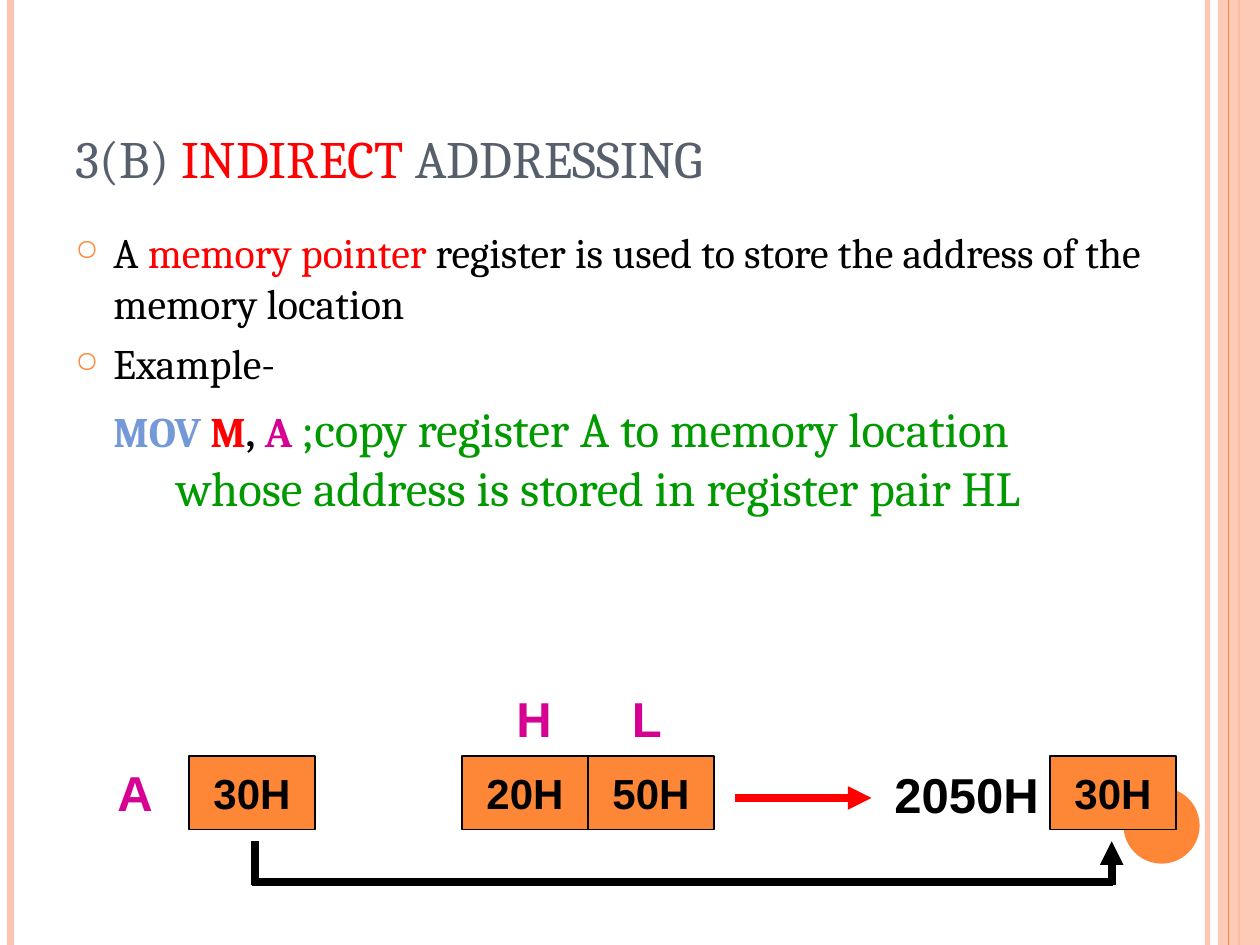
from lxml.etree import SubElement
from pptx import Presentation
from pptx.dml.color import RGBColor
from pptx.enum.shapes import MSO_CONNECTOR, MSO_SHAPE
from pptx.enum.text import MSO_ANCHOR, PP_ALIGN
from pptx.oxml.ns import qn
from pptx.util import Pt

PX = 9525  # 96 px to the inch
ORANGE, PEACH = "FE8637", "FEC3AE"
RED, PINK, GREEN, BLUE = "FF0000", "D60093", "009900", "7598D9"
GREY, BLACK = "575F6D", "000000"


def px(*nums):
    return [round(n * PX) for n in nums]


def rgb(code):
    return RGBColor.from_string(code)


def sub(node, tag, **attrs):
    return SubElement(node, qn("a:" + tag), {k: str(v) for k, v in attrs.items()})


def fade(node, alpha):
    """Make the solid colour below a node partly clear."""
    tint = next(node.iter(qn("a:srgbClr")))
    sub(tint, "alpha", val=alpha * 1000)


def write(par, text, size=24, font="Cambria", color=BLACK, bold=False):
    """Add text to a paragraph; a newline becomes a line break."""
    for i, row in enumerate(text.split("\n")):
        if i:
            par.add_line_break()
        run = par.add_run()
        run.text = row
        run.font.size = Pt(size)
        run.font.name = font
        run.font.bold = bold
        run.font.color.rgb = rgb(color)


class Deck:
    def __init__(self):
        self.file = Presentation()
        self.file.slide_width, self.file.slide_height = px(960, 720)
        self.slide = self.file.slides.add_slide(self.file.slide_layouts[6])

    def line(self, x1, y1, x2, y2, color=BLACK, width=4.5, arrow=False, alpha=None):
        rule = self.slide.shapes.add_connector(
            MSO_CONNECTOR.STRAIGHT, *px(x1, y1, x2, y2))
        rule.line.color.rgb = rgb(color)
        rule.line.width = Pt(width)
        props = rule._element.spPr
        if alpha:
            fade(props, alpha)
        if arrow:
            sub(props.find(qn("a:ln")), "tailEnd", type="triangle")
        sub(props, "effectLst")

    def shape(self, kind, x, y, w, h, color=ORANGE, edge=None, alpha=None):
        item = self.slide.shapes.add_shape(kind, *px(x, y, w, h))
        item.shadow.inherit = False
        item.fill.solid()
        item.fill.fore_color.rgb = rgb(color)
        if alpha:
            fade(item._element.spPr, alpha)
        if edge:
            item.line.color.rgb = rgb(edge)
            item.line.width = Pt(0.75)
        else:
            item.line.fill.background()
        return item

    def cell(self, x, text):
        frame = self.shape(MSO_SHAPE.RECTANGLE, x, 576, 96, 56, edge=BLACK).text_frame
        frame.word_wrap = False
        frame.vertical_anchor = MSO_ANCHOR.MIDDLE
        par = frame.paragraphs[0]
        par.alignment = PP_ALIGN.CENTER
        write(par, text, font="Arial", bold=True)

    def box(self, x, y, w, h, anchor=MSO_ANCHOR.TOP):
        frame = self.slide.shapes.add_textbox(*px(x, y, w, h)).text_frame
        frame.word_wrap = True
        frame.vertical_anchor = anchor
        return frame

    def label(self, x, y, w, text, color=PINK):
        par = self.box(x, y, w, 55).paragraphs[0]
        write(par, text, size=28, font="Arial", color=color, bold=True)

    def item(self, frame, runs, bullet=True, tabs=()):
        """Add an indented paragraph, with a ring bullet or tab stops."""
        first = not frame.paragraphs[0].runs
        par = frame.paragraphs[0] if first else frame.add_paragraph()
        if not first:
            par.space_before = Pt(6)
        props = par._p.get_or_add_pPr()
        left = px(29)[0]
        props.set("marL", str(left))
        props.set("indent", str(-left if bullet else 0))
        if bullet:
            sub(sub(props, "buClr"), "srgbClr", val=ORANGE)
            sub(props, "buSzPct", val=70000)
            sub(props, "buChar", char="○")
        else:
            sub(props, "buNone")
        if tabs:
            stops = sub(props, "tabLst")
            for spot in px(*tabs):
                sub(stops, "tab", pos=spot, algn="l")
        for text, form in runs:
            write(par, text, **form)


def main():
    deck = Deck()

    # Side bands and disc
    deck.line(920, 0, 920, 720, PEACH, 3, alpha=93)
    deck.line(8, 0, 8, 720, PEACH)
    deck.line(944, 0, 944, 720, ORANGE, 1.5)
    deck.shape(MSO_SHAPE.RECTANGLE, 928, 0, 32, 720, PEACH, alpha=87)
    deck.line(936, 0, 936, 720, ORANGE, 0.75)
    deck.shape(MSO_SHAPE.OVAL, 856, 600, 58, 58)

    # Title
    par = deck.box(48, 29, 784, 120, MSO_ANCHOR.BOTTOM).paragraphs[0]
    for text, color in (("3(B) ", GREY), ("INDIRECT", RED), (" ADDRESSING", GREY)):
        write(par, text, size=30, color=color)

    # Explanation and sample code
    body = deck.box(48, 168, 864, 328)
    deck.item(body, [
        ("A ", {}),
        ("memory pointer", {"color": RED}),
        (" register is used to store the address of the memory location", {}),
    ])
    deck.item(body, [("Example-", {})])
    note = (";copy register A to memory location\n"
            "\twhose address is stored in register\tpair HL")
    deck.item(body, [
        ("MOV ", {"color": BLUE, "bold": True}),
        ("M", {"color": RED, "bold": True}),
        (", ", {"bold": True}),
        ("A ", {"color": PINK, "bold": True}),
        (note, {"size": 28, "color": GREEN}),
    ], bullet=False, tabs=(69, 750))

    # Registers and memory
    for x, text in ((144, "30H"), (352, "20H"), (448, "50H"), (800, "30H")):
        deck.cell(x, text)
    for x, y, text in ((80, 576, "A"), (384, 520, "H"), (472, 520, "L")):
        deck.label(x, y, 56, text)
    deck.label(672, 578, 136, "2050H", BLACK)

    # Pointer arrow and copy path
    deck.line(560, 608, 664, 608, RED, arrow=True)
    deck.line(194, 641, 194, 674)
    deck.line(192, 672, 848, 672)
    deck.line(847, 674, 847, 641, arrow=True)

    deck.file.save("out.pptx")


if __name__ == "__main__":
    main()
